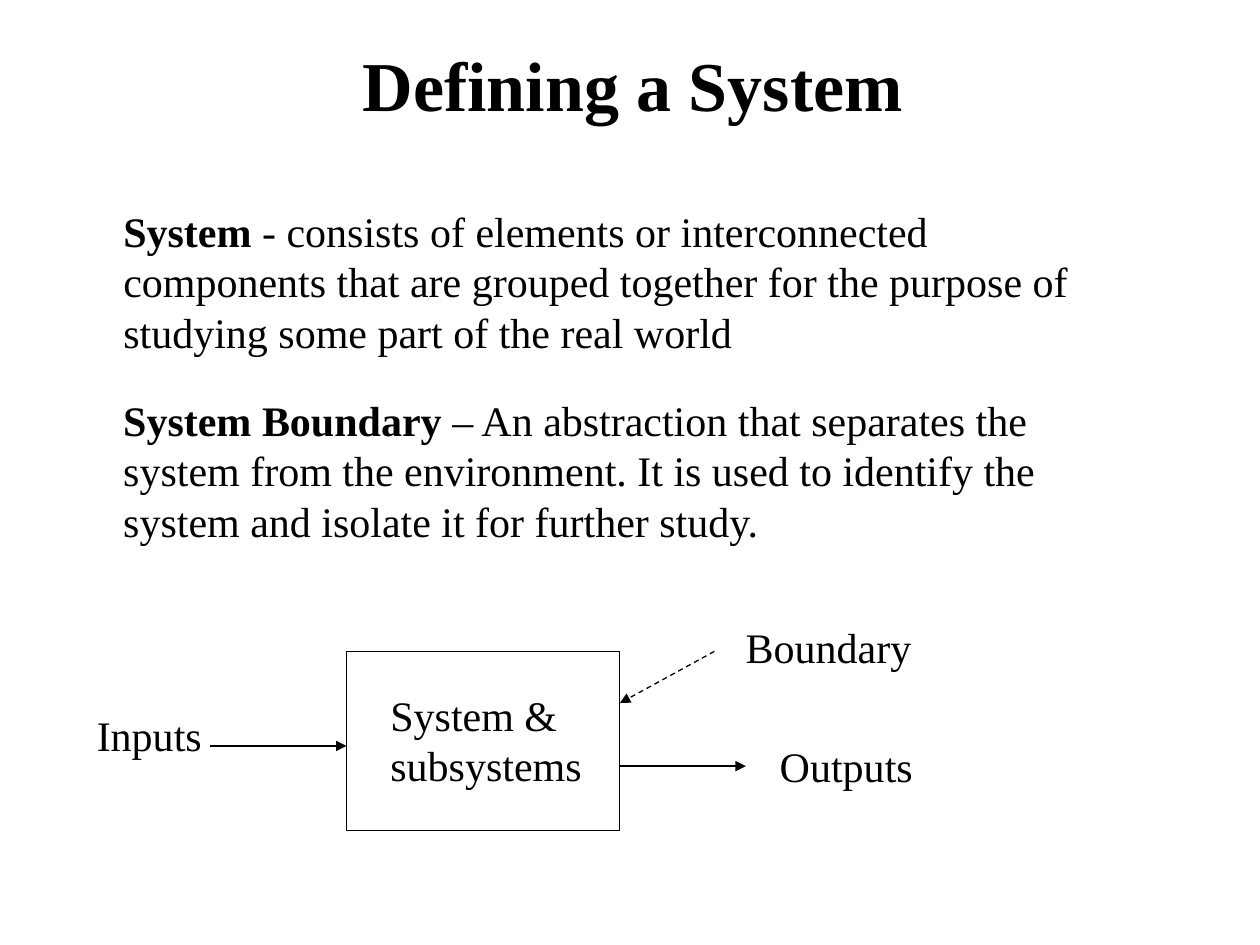
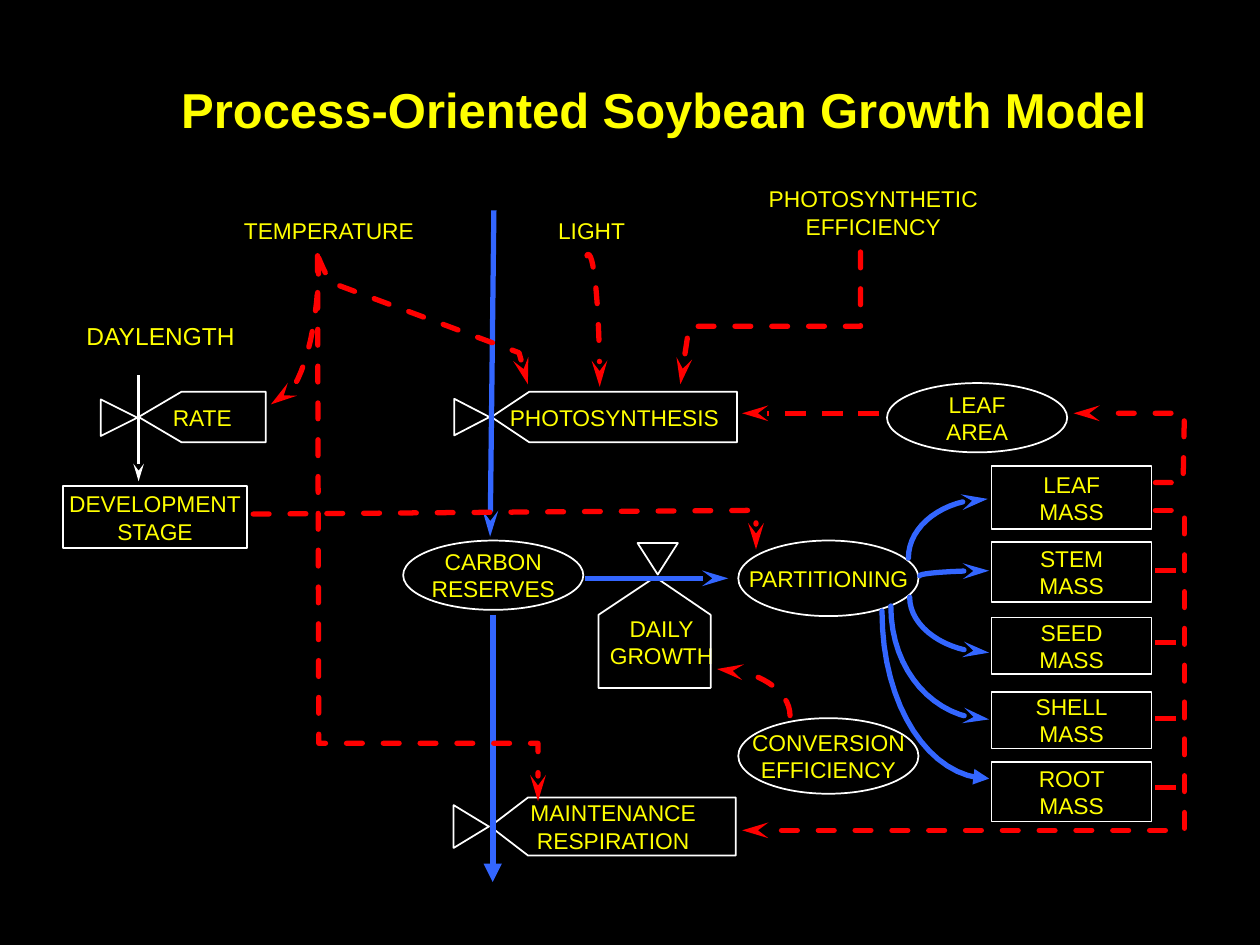
from lxml.etree import SubElement
from pptx import Presentation
from pptx.dml.color import RGBColor
from pptx.enum.dml import MSO_LINE
from pptx.enum.shapes import MSO_CONNECTOR, MSO_SHAPE
from pptx.enum.text import MSO_ANCHOR, MSO_AUTO_SIZE, PP_ALIGN
from pptx.oxml.ns import qn
from pptx.util import Cm, Pt

BLACK = RGBColor(0x00, 0x00, 0x00)
WHITE = RGBColor(0xFF, 0xFF, 0xFF)
YELLOW = RGBColor(0xFF, 0xFF, 0x00)
RED = RGBColor(0xFF, 0x00, 0x00)
BLUE = RGBColor(0x33, 0x66, 0xFF)
SERIF, SANS = "Times New Roman", "Arial"
GRID = 2.54
STEPS = 16

TERMS = [
    ((0.88, 1.58, 7.92, 1.3), "System",
     " - consists of elements or interconnected components that are grouped "
     "together for the purpose of studying some part of the real world"),
    ((0.88, 3.08, 8.33, 1.3), "System Boundary",
     " – An abstraction that separates the system from the environment. It is "
     "used to identify the system and isolate it for further study."),
]
SYSTEM = (2.75, 5.17, 2.17, 1.42)
LABELS = [
    ("System & subsystems", (3, 5.42, 1.83, 0.9)),
    ("Inputs", (0.67, 5.58, 1.1, 0.5)),
    ("Outputs", (6.09, 5.83, 1.4, 0.5)),
    ("Boundary", (5.82, 4.88, 1.65, 0.5)),
]
ARROWS = [
    ((1.67, 5.92, 2.75, 5.92), False),
    ((4.92, 6.08, 5.92, 6.08), False),
    ((5.67, 5.17, 4.92, 5.58), True),
]

FACTORS = [
    ("TEMPERATURE", (1.83, 1.67, 1.56, 0.32), 13),
    ("LIGHT", (4.33, 1.67, 0.73, 0.32), 13),
    ("PHOTOSYNTHETIC\nEFFICIENCY", (6, 1.42, 1.86, 0.54), 13),
    ("DAILY\nGROWTH", (4.74, 4.83, 1.02, 0.54), 13),
    ("DAYLENGTH", (0.58, 2.5, 1.39, 0.33), 14),
]
OVALS = [
    ("CONVERSION\nEFFICIENCY", (5.86, 5.7, 1.43, 0.6)),
    ("CARBON\nRESERVES", (3.2, 4.29, 1.43, 0.55)),
    ("PARTITIONING", (5.86, 4.29, 1.43, 0.6)),
    ("LEAF\nAREA", (7.04, 3.04, 1.43, 0.55)),
]
STAGE = ("DEVELOPMENT\nSTAGE", (0.5, 3.86, 1.46, 0.49))
MASSES = [
    ("LEAF", 3.7, 0.5),
    ("STEM", 4.3, 0.48),
    ("SEED", 4.9, 0.45),
    ("SHELL", 5.49, 0.45),
    ("ROOT", 6.05, 0.47),
]
VALVES = [
    ("RATE", 1.1, 1.44, 2.11, 3.31, 0.2),
    ("PHOTOSYNTHESIS", 3.9, 4.2, 5.85, 3.31, 0.2),
    ("MAINTENANCE\nRESPIRATION", 3.89, 4.19, 5.84, 6.56, 0.23),
]
GROWTH = [(4.75, 5.46), (4.75, 4.88), (5.2, 4.58), (5.64, 4.88), (5.64, 5.46)]
WEDGES = [
    ((0.8, 3.17, 0.29, 0.29), 90),
    ((3.6, 3.17, 0.29, 0.28), 90),
    ((3.57, 6.42, 0.34, 0.28), 90),
    ((5.06, 4.31, 0.32, 0.25), 180),
]
FLOWS = [
    ((1.1, 2.98, 1.1, 3.82), WHITE, 2, "stealth"),
    ((4.64, 4.59, 5.78, 4.59), BLUE, 3, "stealth"),
    ((3.92, 1.67, 3.89, 4.26), BLUE, 3, "stealth"),
    ((3.91, 4.88, 3.91, 7), BLUE, 3.5, "triangle"),
]
SUPPLY = [
    ([(7.21, 4.43), (7.21, 4.17, 7.49, 3.96, 7.84, 3.96)], "stealth"),
    ([(7.3, 4.57), (7.3, 4.55, 7.55, 4.53, 7.85, 4.53)], "stealth"),
    ([(7.22, 4.74), (7.22, 4.98, 7.51, 5.18, 7.85, 5.18)], "stealth"),
    ([(7.07, 4.81), (7.07, 5.33, 7.42, 5.71, 7.85, 5.71)], "stealth"),
    ([(7, 4.85), (7, 5.61, 7.38, 6.18, 7.85, 6.18)], "triangle"),
]
SIGNALS = [
    [(9.17, 3.83), (9.39, 3.83), (9.4, 3.28), (8.52, 3.28)],
    [(9.17, 4.05), (9.4, 4.05), (9.4, 6.59), (5.89, 6.59)],
    [(2.01, 4.08), (6, 4.05), (6, 4.36)],
    [(4.66, 2.03), (4.66, 2.02, 4.67, 2.02, 4.67, 2.02),
     (4.72, 2.02, 4.76, 2.49, 4.76, 3.07)],
    [(6.83, 2), (6.83, 2.59), (5.47, 2.59), (5.4, 3.05)],
    [(2.53, 2.05), (2.53, 2.69, 2.36, 3.21, 2.15, 3.21)],
    [(2.52, 2.03), (2.53, 5.9), (4.27, 5.9), (4.27, 6.36)],
    [(2.53, 2.05), (2.57, 2.14), (2.62, 2.24), (4.12, 2.8), (4.19, 3.05)],
    [(6.27, 5.68), (6.27, 5.48, 6.01, 5.31, 5.69, 5.31)],
]
RUNGS = [4.53, 5.1, 5.7, 6.25]


def scale(values):
    return [Cm(value * GRID) for value in values]


def write(frame, text, lead="", size=24, font=SERIF, color=BLACK,
          bold=False, align=PP_ALIGN.LEFT, wrap=False):
    frame.word_wrap = wrap
    for row, line in enumerate(text.split("\n")):
        para = frame.paragraphs[0] if row == 0 else frame.add_paragraph()
        para.alignment = align
        parts = [(lead, True)] if lead and row == 0 else []
        for part, heavy in parts + [(line, bold)]:
            run = para.add_run()
            run.text = part
            run.font.size = Pt(size)
            run.font.name = font
            run.font.bold = heavy
            run.font.color.rgb = color


def label(slide, box, text, **style):
    frame = slide.shapes.add_textbox(*scale(box)).text_frame
    write(frame, text, **style)
    frame.auto_size = MSO_AUTO_SIZE.SHAPE_TO_FIT_TEXT


def stroke(item, color, width, dash=False, tip=None, cap=None):
    item.line.color.rgb = color
    item.line.width = Pt(width)
    if dash:
        item.line.dash_style = MSO_LINE.DASH
    edge = item._element.spPr.find(qn("a:ln"))
    if cap:
        edge.set("cap", cap)
    if tip:
        size = "lg" if tip == "stealth" else "med"
        SubElement(edge, qn("a:tailEnd"), type=tip, w="med", len=size)


def finish(shape, color=WHITE, width=1, text="", **line):
    shape.shadow.inherit = False
    shape.fill.background()
    stroke(shape, color, width, **line)
    if text:
        shape.text_frame.vertical_anchor = MSO_ANCHOR.MIDDLE
        write(shape.text_frame, text, size=13, font=SANS, color=YELLOW,
              align=PP_ALIGN.CENTER)


def figure(slide, kind, box, turn=0, **style):
    shape = slide.shapes.add_shape(kind, *scale(box))
    shape.rotation = turn
    finish(shape, **style)


def link(slide, ends, color, width, **line):
    item = slide.shapes.add_connector(MSO_CONNECTOR.STRAIGHT, *scale(ends))
    stroke(item, color, width, **line)
    SubElement(item._element.spPr, qn("a:effectLst"))


def bend(start, curve):
    knots = [start, curve[:2], curve[2:4], curve[4:]]
    for step in range(1, STEPS + 1):
        t = step / STEPS
        weights = [(1 - t) ** 3, 3 * t * (1 - t) ** 2,
                   3 * t * t * (1 - t), t ** 3]
        yield tuple(sum(w * knot[axis] for w, knot in zip(weights, knots))
                    for axis in (0, 1))


def trace(slide, route, close=False, **style):
    points = [route[0]]
    for leg in route[1:]:
        points += [leg] if len(leg) == 2 else bend(points[-1], leg)
    points = [scale(point) for point in points]
    builder = slide.shapes.build_freeform(*points[0])
    builder.add_line_segments(points[1:], close=close)
    finish(builder.convert_to_shape(), **style)


def start(deck, color):
    slide = deck.slides.add_slide(deck.slide_layouts[6])
    slide.background.fill.solid()
    slide.background.fill.fore_color.rgb = color
    return slide


def define(deck):
    slide = start(deck, WHITE)
    label(slide, (2.78, 0.28, 4.8, 0.77), "Defining a System",
          size=40, bold=True, wrap=True)
    for box, lead, text in TERMS:
        label(slide, box, text, lead=lead, wrap=True)
    figure(slide, MSO_SHAPE.RECTANGLE, SYSTEM, color=BLACK, width=0.75)
    for text, box in LABELS:
        label(slide, box, text, wrap=True)
    for ends, dash in ARROWS:
        link(slide, ends, BLACK, 0.75, dash=dash, tip="triangle")


def model(deck):
    slide = start(deck, BLACK)
    label(slide, (1.34, 0.58, 8.1, 0.57),
          "Process-Oriented Soybean Growth Model",
          size=28, font=SANS, color=YELLOW, bold=True, wrap=True)
    for text, box, size in FACTORS:
        label(slide, box, text, size=size, font=SANS, color=YELLOW,
              align=PP_ALIGN.CENTER)
    for box, turn in WEDGES:
        figure(slide, MSO_SHAPE.ISOSCELES_TRIANGLE, box, turn)
    for text, tip, neck, right, mid, half in VALVES:
        top, base = mid - half, mid + half
        trace(slide, [(right, top), (neck, top), (tip, mid),
                      (neck, base), (right, base)], close=True, text=text)
    trace(slide, GROWTH, close=True)
    for text, box in OVALS:
        figure(slide, MSO_SHAPE.OVAL, box, text=text)
    boxes = [(f"{part}\nMASS", (7.87, top, 1.27, height))
             for part, top, height in MASSES]
    for text, box in [STAGE] + boxes:
        figure(slide, MSO_SHAPE.RECTANGLE, box, text=text)
    for ends, color, width, tip in FLOWS:
        link(slide, ends, color, width, tip=tip)
    for route, tip in SUPPLY:
        trace(slide, route, color=BLUE, width=3, tip=tip, cap="rnd")
    for route in SIGNALS:
        trace(slide, route, color=RED, width=3, dash=True,
              tip="stealth", cap="rnd")
    link(slide, (6.98, 3.28, 5.89, 3.28), RED, 3, dash=True, tip="stealth")
    for level in RUNGS:
        link(slide, (9.17, level, 9.39, level), RED, 3, dash=True)


def main():
    deck = Presentation()
    deck.slide_width, deck.slide_height = scale((10, 7.5))
    define(deck)
    model(deck)
    deck.save("out.pptx")


if __name__ == "__main__":
    main()
